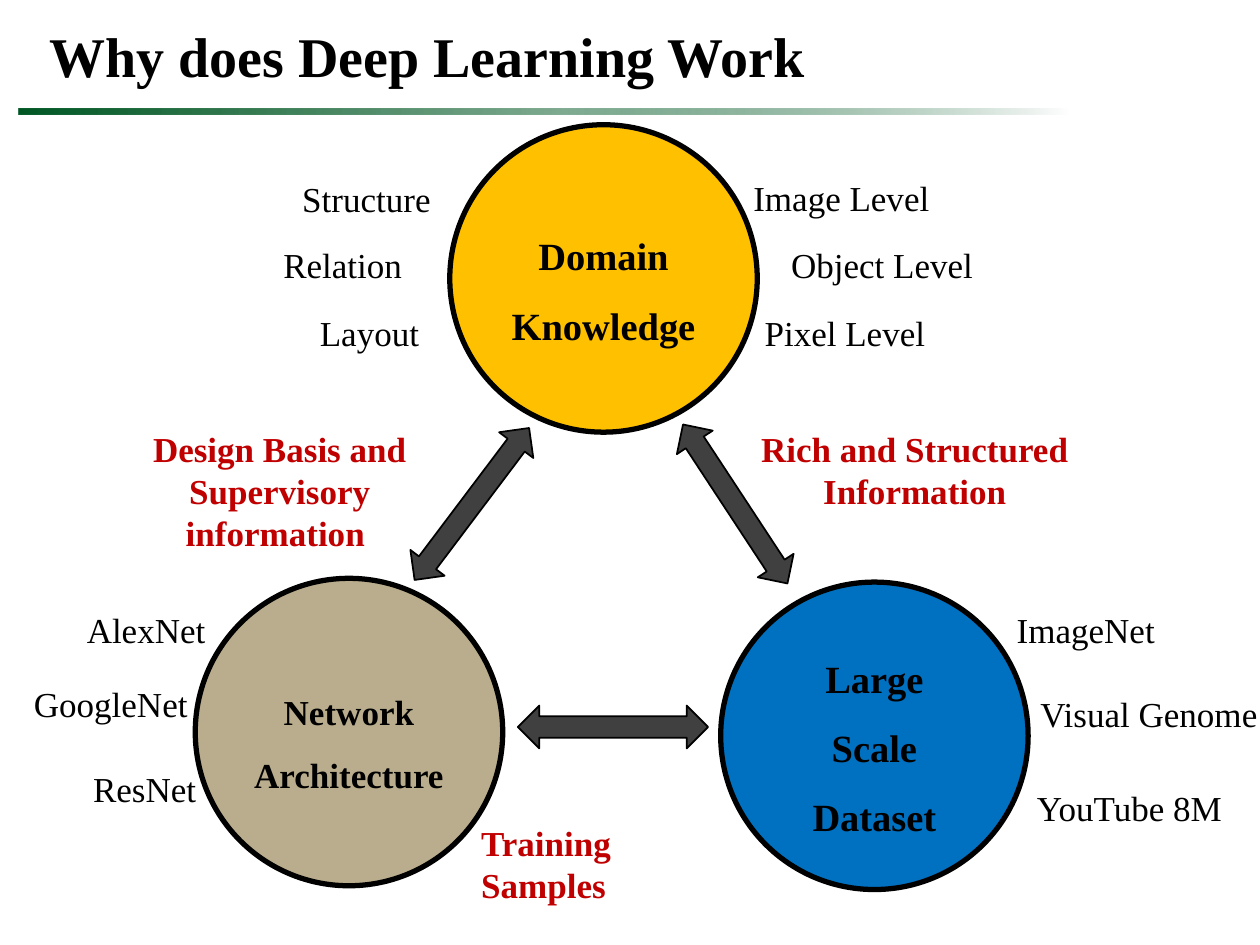
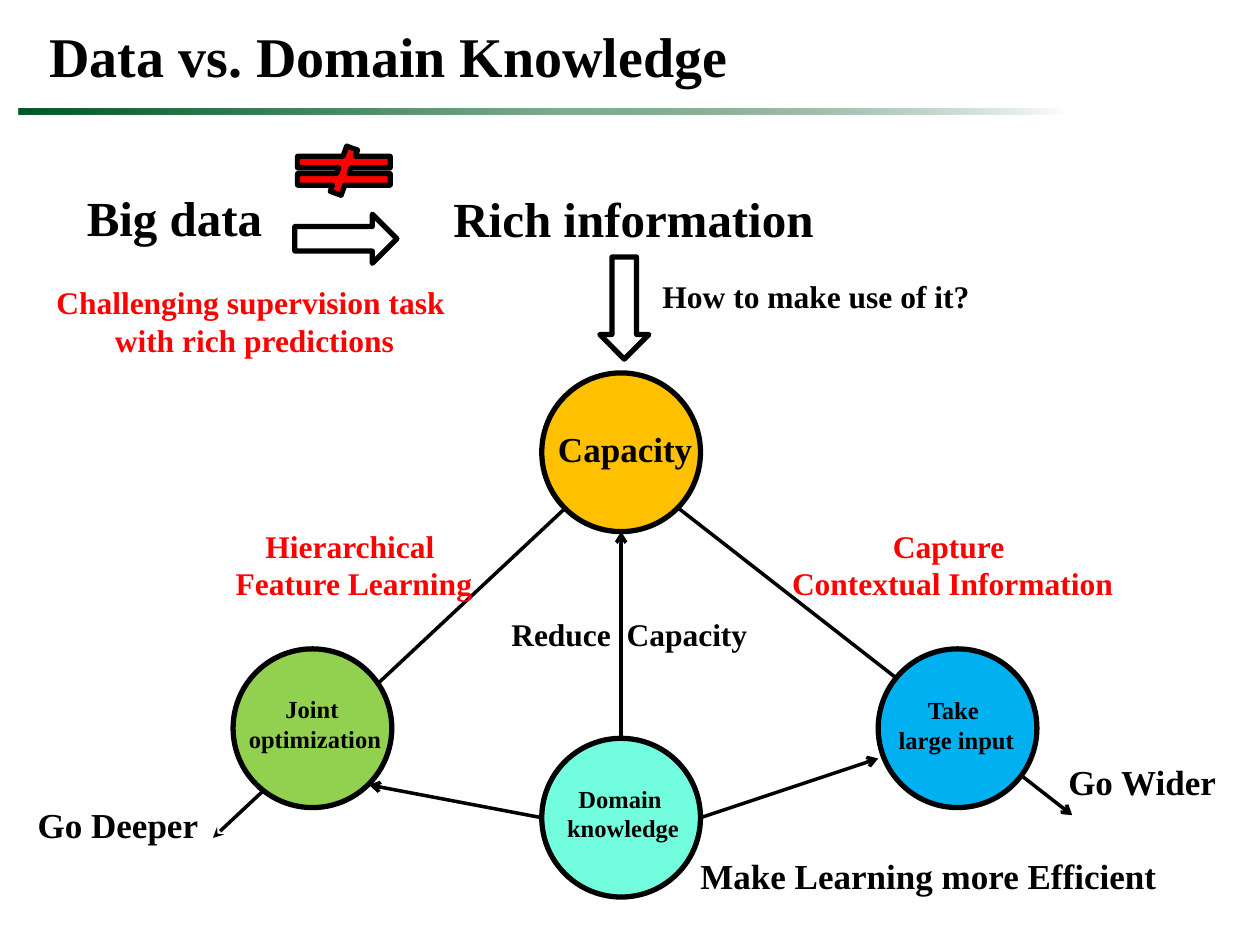
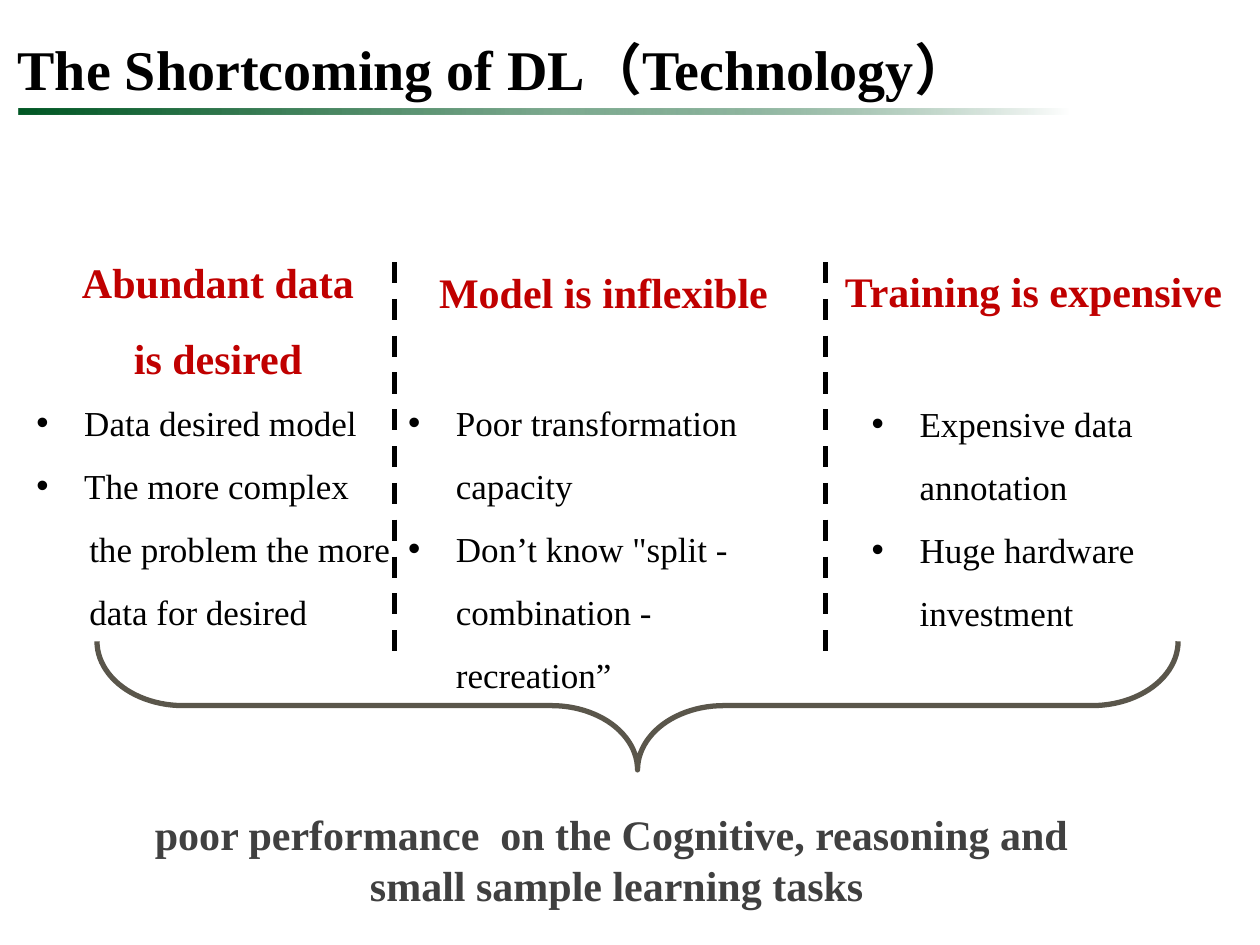
from dataclasses import dataclass

from lxml import etree
from pptx import Presentation
from pptx.dml.color import RGBColor
from pptx.enum.dml import MSO_LINE
from pptx.enum.shapes import MSO_CONNECTOR, MSO_SHAPE
from pptx.enum.text import MSO_ANCHOR, MSO_AUTO_SIZE, PP_ALIGN
from pptx.oxml.ns import qn
from pptx.util import Inches, Pt

LEFT, CENTER = PP_ALIGN.LEFT, PP_ALIGN.CENTER
TOP = MSO_ANCHOR.TOP
GROW = MSO_AUTO_SIZE.SHAPE_TO_FIT_TEXT
NO_FIT = MSO_AUTO_SIZE.NONE
STRAIGHT = MSO_CONNECTOR.STRAIGHT
DASH = MSO_LINE.DASH
RECT, OVAL = MSO_SHAPE.RECTANGLE, MSO_SHAPE.OVAL
DOUBLE_ARROW, DOWN_ARROW = MSO_SHAPE.LEFT_RIGHT_ARROW, MSO_SHAPE.DOWN_ARROW
NOT_EQUAL, BRACE = MSO_SHAPE.MATH_NOT_EQUAL, MSO_SHAPE.LEFT_BRACE

FONT = "Times New Roman"
COLORS = {
    "black": "000000", "white": "FFFFFF", "green": "005825", "gold": "FFC000",
    "tan": "BAAD8D", "blue": "0070C0", "gray": "404040", "dark_red": "C00000",
    "red": "FF0000", "lime": "92D050", "sky": "00B0F0", "mint": "72FDDF",
    "brace": "5A564B",
}
TITLE_BOX = (0.29, 0.12, 8.66, 0.64)
BAND_BOX = (0.15, 0.86, 8.33, 0.05)
BAND_STOPS = ((0, "green", 100), (52, "green", 50), (100, "white", 100))
BULLET_INDENT = 0.38
CONTINUATION_INDENT = 0.42


@dataclass
class Style:
    size: int = 20
    color: str = "black"
    bold: bool = True
    align: PP_ALIGN = LEFT
    spacing: float | None = None
    level: int = 0


@dataclass
class Label:
    box: tuple
    lines: tuple
    style: Style
    wrap: bool = False


@dataclass
class Figure:
    kind: MSO_SHAPE
    box: tuple
    fill: str | None = None
    line: str = "black"
    width: float = 3
    rotation: float = 0


@dataclass
class Arrow:
    start: tuple
    end: tuple
    head: str = "arrow"


@dataclass
class Column:
    heading: Label
    box: tuple
    bullets: tuple
    continuation: tuple = ()


PLAIN = Style(bold=False)
INDENTED = Style(bold=False, level=1)
BOLD = Style()
BIG = Style(28)
SMALL_BOLD = Style(18)
NODE = Style(14, align=CENTER)
LINK_NOTE = Style(color="dark_red", align=CENTER)
RED_NOTE = Style(18, "red", align=CENTER)
HEADING = Style(24, "dark_red", align=CENTER, spacing=1.5)
BODY = Style(bold=False, spacing=1.5)


def rgb(name: str) -> RGBColor:
    return RGBColor.from_string(COLORS[name])


def inches(box: tuple) -> list:
    return [Inches(v) for v in box]


def add_line(tf, text: str, style: Style, first: bool):
    p = tf.paragraphs[0] if first else tf.add_paragraph()
    p.alignment = style.align
    p.level = style.level
    if style.spacing:
        p.line_spacing = style.spacing
    r = p.add_run()
    r.text = text
    r.font.name = FONT
    r.font.size = Pt(style.size)
    r.font.bold = style.bold
    r.font.color.rgb = rgb(style.color)
    return p


def write(tf, lines: tuple, style: Style) -> None:
    for i, text in enumerate(lines):
        add_line(tf, text, style, i == 0)


def add_label(s, label: Label) -> None:
    tf = s.shapes.add_textbox(*inches(label.box)).text_frame
    tf.word_wrap = label.wrap
    tf.auto_size = GROW
    write(tf, label.lines, label.style)


def add_figure(s, fig: Figure):
    sp = s.shapes.add_shape(fig.kind, *inches(fig.box))
    sp.shadow.inherit = False
    sp.rotation = fig.rotation
    if fig.fill:
        sp.fill.solid()
        sp.fill.fore_color.rgb = rgb(fig.fill)
    else:
        sp.fill.background()
    sp.line.color.rgb = rgb(fig.line)
    sp.line.width = Pt(fig.width)
    return sp


def add_connector(s, start: tuple, end: tuple, width: float):
    cx = s.shapes.add_connector(STRAIGHT, *inches(start + end))
    cx.line.color.rgb = rgb("black")
    cx.line.width = Pt(width)
    etree.SubElement(cx._element.spPr, qn("a:effectLst"))
    return cx


def add_arrow(s, arrow: Arrow) -> None:
    cx = add_connector(s, arrow.start, arrow.end, 2)
    ln = cx._element.spPr.find(qn("a:ln"))
    etree.SubElement(ln, qn("a:tailEnd"), type=arrow.head)


def add_band(s) -> None:
    sp = s.shapes.add_shape(RECT, *inches(BAND_BOX))
    sp.shadow.inherit = False
    sp.line.fill.background()
    sp.fill.gradient()
    sp.fill.gradient_angle = 0
    stops = sp._element.spPr.find(".//" + qn("a:gsLst"))
    for old in list(stops):
        stops.remove(old)
    for pos, color, alpha in BAND_STOPS:
        gs = etree.SubElement(stops, qn("a:gs"), pos=str(pos * 1000))
        clr = etree.SubElement(gs, qn("a:srgbClr"), val=COLORS[color])
        if alpha < 100:
            etree.SubElement(clr, qn("a:alpha"), val=str(alpha * 1000))


def new_slide(prs, title: str, box: tuple = TITLE_BOX):
    s = prs.slides.add_slide(prs.slide_layouts[5])
    add_band(s)
    sp = s.shapes.title
    sp.left, sp.top, sp.width, sp.height = inches(box)
    tf = sp.text_frame
    tf.word_wrap = True
    tf.auto_size = NO_FIT
    tf.vertical_anchor = TOP
    write(tf, (title,), Style(32))
    return s


def add_column(s, col: Column) -> None:
    add_label(s, col.heading)
    tf = s.shapes.add_textbox(*inches(col.box)).text_frame
    tf.word_wrap = True
    tf.auto_size = GROW
    for i, text in enumerate(col.bullets):
        pPr = add_line(tf, text, BODY, i == 0)._p.get_or_add_pPr()
        pPr.set("marL", str(Inches(BULLET_INDENT)))
        pPr.set("indent", str(-Inches(BULLET_INDENT)))
        etree.SubElement(pPr, qn("a:buFont"), typeface="Arial")
        etree.SubElement(pPr, qn("a:buChar"), char="•")
    for text in col.continuation:
        pPr = add_line(tf, text, BODY, False)._p.get_or_add_pPr()
        pPr.set("marL", str(Inches(CONTINUATION_INDENT)))
        pPr.set("indent", "0")


def build_why(prs) -> None:
    s = new_slide(prs, "Why does Deep Learning Work")
    circle, arrow = 2.44, (1.51, 0.34)
    for left, top, fill, lines, size in (
        (3.57, 0.99, "gold", ("Domain Knowledge",), 22),
        (1.55, 4.59, "tan", ("Network", "Architecture"), 20),
        (5.72, 4.62, "blue", ("Large Scale Dataset",), 22),
    ):
        sp = add_figure(s, Figure(OVAL, (left, top, circle, circle), fill))
        write(sp.text_frame, lines, Style(size, align=CENTER, spacing=1.5))
    for left, top, rotation in ((5.08, 3.83, 56.7), (2.99, 3.83, 127), (4.11, 5.6, 0)):
        add_figure(s, Figure(DOUBLE_ARROW, (left, top) + arrow, "gray", width=1,
                             rotation=rotation))
    for left, top, width, text in (
        (0.59, 4.78, 1.21, "AlexNet"),
        (0.17, 5.37, 1.52, "GoogleNet"),
        (0.64, 6.04, 1.52, "ResNet"),
        (7.97, 4.78, 1.52, "ImageNet"),
        (8.16, 5.45, 2.17, "Visual Genome"),
        (8.13, 6.19, 1.89, "YouTube 8M"),
    ):
        add_label(s, Label((left, top, width, 0.44), (text,), PLAIN, True))
    for left, top, text in (
        (5.38, 1.35, "Image Level"),
        (5.68, 1.88, "Object Level"),
        (5.47, 2.42, "Pixel Level"),
        (1.8, 1.36, "Structure"),
        (1.65, 1.88, "Relation"),
        (1.94, 2.42, "Layout"),
    ):
        add_label(s, Label((left, top, 2.18, 0.44), (text,), INDENTED, True))
    for label in (
        Label((5.7, 3.34, 3.12, 0.77), ("Rich and Structured Information",),
              LINK_NOTE, True),
        Label((0.66, 3.34, 3.12, 1.11), ("Design Basis and Supervisory information ",),
              LINK_NOTE, True),
        Label((3.72, 6.47, 2.31, 0.77), ("Training", "Samples"),
              Style(color="dark_red"), True),
    ):
        add_label(s, label)


def build_data(prs) -> None:
    s = new_slide(prs, "Data vs. Domain Knowledge")
    circle = 1.26
    for fig in (
        Figure(DOWN_ARROW, (2.55, 1.49, 0.39, 0.81), rotation=270),
        Figure(NOT_EQUAL, (2.23, 1.16, 1, 0.39), "red"),
        Figure(DOWN_ARROW, (4.76, 2.04, 0.39, 0.81)),
    ):
        add_figure(s, fig)
    for arrow in (
        Arrow((4.49, 4.03), (1.69, 6.65), "stealth"),
        Arrow((5.38, 4.03), (8.51, 6.47)),
    ):
        add_arrow(s, arrow)
    for left, top, fill in (
        (4.3, 2.96, "gold"), (1.85, 5.15, "lime"),
        (6.97, 5.15, "sky"), (4.3, 5.86, "mint"),
    ):
        add_figure(s, Figure(OVAL, (left, top, circle, circle), fill))
    for arrow in (
        Arrow((4.93, 5.86), (4.93, 4.22)),
        Arrow((4.3, 6.49), (2.93, 6.23)),
        Arrow((5.56, 6.49), (6.97, 6.02)),
    ):
        add_arrow(s, arrow)
    for label in (
        Label((0.59, 1.44, 1.61, 0.57), ("Big data",), BIG),
        Label((3.5, 1.45, 3.09, 0.57), ("Rich information",), BIG),
        Label((0.33, 2.2, 3.38, 0.71),
              ("Challenging supervision task ", "with rich predictions"), RED_NOTE),
        Label((5.16, 2.15, 2.66, 0.4), ("How to make use of it?",), SMALL_BOLD),
        Label((4.33, 3.34, 1.28, 0.44), ("Capacity",), BOLD),
        Label((0.2, 6.33, 1.49, 0.44), ("Go Deeper",), BOLD),
        Label((1.87, 5.46, 1.26, 0.57), ("Joint ", "optimization"), NODE),
        Label((1.76, 4.13, 2.1, 0.71), ("Hierarchical ", "Feature Learning"), RED_NOTE),
        Label((8.38, 5.99, 1.38, 0.44), ("Go Wider",), BOLD),
        Label((7.03, 5.47, 1.12, 0.57), ("Take ", "large input"), NODE),
        Label((6.17, 4.13, 2.78, 0.71), ("Capture ", "Contextual Information"), RED_NOTE),
        Label((4.4, 6.17, 1.09, 0.57), ("Domain ", "knowledge"), NODE),
        Label((5.46, 6.73, 3.85, 0.44), ("Make Learning more Efficient",), BOLD),
        Label((3.96, 4.83, 2.1, 0.4), ("Reduce  Capacity",), SMALL_BOLD),
    ):
        add_label(s, label)


def build_shortcoming(prs) -> None:
    s = new_slide(prs, "The Shortcoming of DL（Technology）", (0.04, 0.22, 8.4, 0.64))
    add_label(s, Label(
        (0.33, 6.37, 9.13, 0.91),
        ("poor performance  on the Cognitive, reasoning and ",
         "small sample learning tasks"),
        Style(24, "gray", align=CENTER), True))
    for x in (3.13, 6.55):
        add_connector(s, (x, 2.08), (x, 5.23), 3).line.dash_style = DASH
    for col in (
        Column(Label((0.33, 1.79, 2.8, 1.31), ("Abundant data", " is desired\t"),
                     HEADING, True),
               (0.19, 2.97, 3.82, 2.12),
               ("Data desired model", "The more complex"),
               ("the problem the more", "data for desired")),
        Column(Label((3.25, 1.87, 3.08, 0.63), ("Model is inflexible",), HEADING, True),
               (3.14, 2.97, 3.38, 2.12),
               ("Poor transformation capacity",
                "Don’t know \"split - combination - recreation”")),
        Column(Label((6.46, 1.86, 3.57, 0.71), ("Training is expensive ",), HEADING, True),
               (6.82, 2.98, 2.64, 2.12),
               ("Expensive data annotation", "Huge hardware investment")),
    ):
        add_column(s, col)
    brace = add_figure(s, Figure(BRACE, (4.55, 1.31, 1.02, 8.58), line="brace",
                                 rotation=270))
    brace.adjustments[0] = 0.67
    brace.adjustments[1] = 0.5


def main() -> None:
    prs = Presentation()
    prs.slide_width, prs.slide_height = Inches(10), Inches(7.5)
    build_why(prs)
    build_data(prs)
    build_shortcoming(prs)
    prs.save("out.pptx")


if __name__ == "__main__":
    main()
